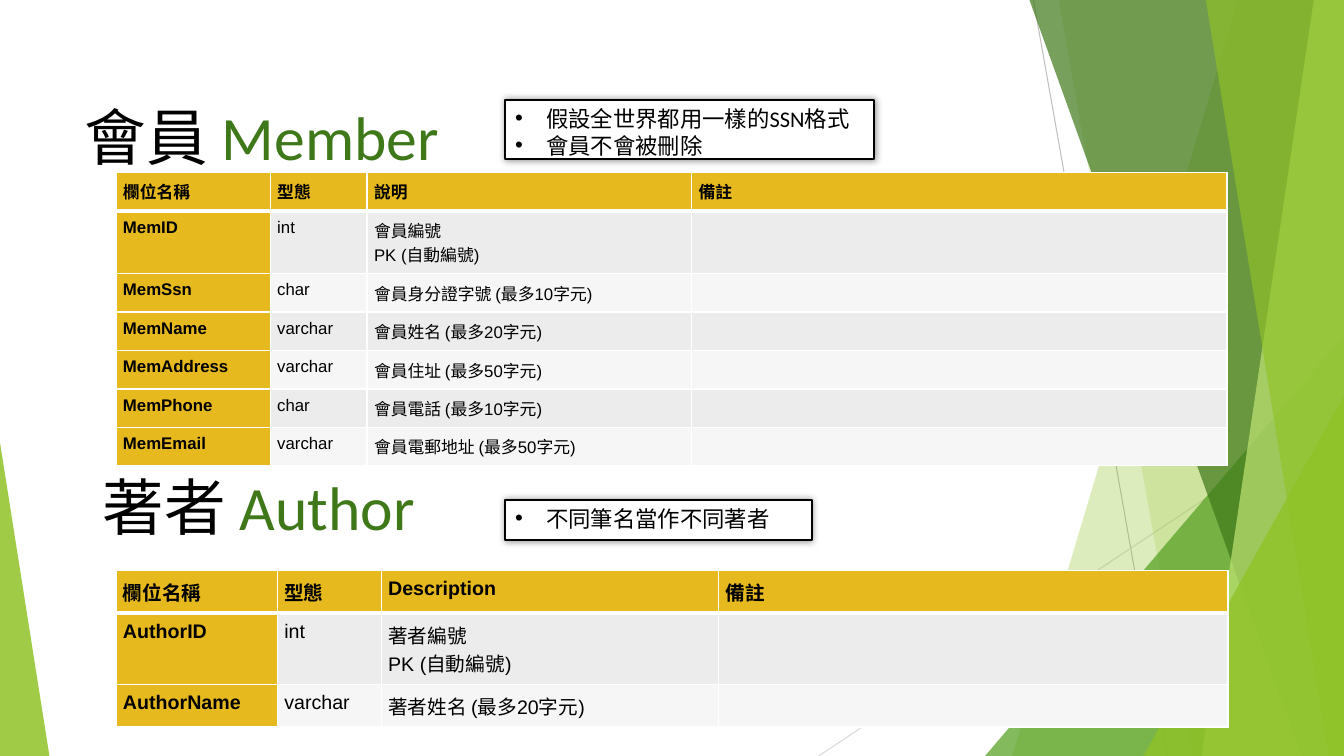
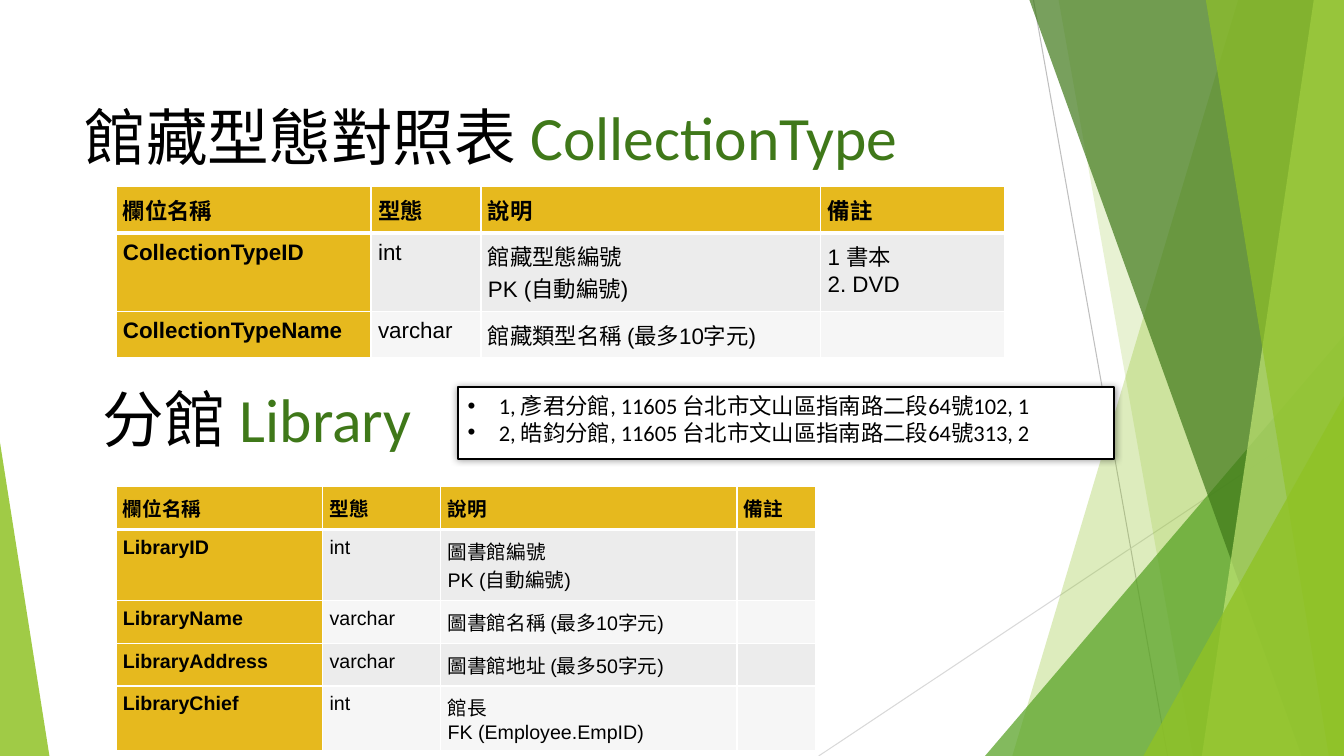
from lxml.etree import SubElement
from pptx import Presentation
from pptx.dml.color import RGBColor
from pptx.enum.shapes import MSO_CONNECTOR, MSO_SHAPE
from pptx.enum.text import MSO_ANCHOR, MSO_AUTO_SIZE, PP_ALIGN
from pptx.oxml.ns import qn
from pptx.util import Inches, Pt

COLORS = {
    "black": "000000", "white": "FFFFFF", "gold": "E6B91E",
    "band_dark": "ECECEC", "band_light": "F6F6F6",
    "lime": "90C226", "leaf": "54A021", "forest": "3F7819", "pale": "C0E474",
    "ray_dark": "BFBFBF", "ray_light": "D9D9D9",
}
HEADING_FONT = {"name": "Calibri", "size": Pt(44), "bold": False}
NOTE_FONT = {"name": "Calibri", "size": Pt(16)}
HEADING_FRAME = {"word_wrap": True, "auto_size": MSO_AUTO_SIZE.NONE,
                 "vertical_anchor": MSO_ANCHOR.MIDDLE}
NOTE_FRAME = {"word_wrap": True, "vertical_anchor": MSO_ANCHOR.TOP}
CELL_MARGINS = {f"margin_{side}": Inches(0.07)
                for side in ("left", "right", "top", "bottom")}
PLAIN_TABLE = {"first_row": True, "horz_banding": False}

WIDTH, HEIGHT = 13.33, 7.5
TITLE_BOX = (0.74, 0.67, 9.4, 1.44)
TABLE_LEFT = 1.15
RAYS = [
    ((10.25, 0), (11.58, HEIGHT), "ray_dark"),
    ((WIDTH, 4.03), (8.12, HEIGHT), "ray_light"),
]
FACETS = [
    ("band", 12.28, 10.04, "lime", 30),
    ("band", 10.5, 11.83, "lime", 20),
    ("corner", (9.77, 3.33, 3.56, 4.17), 1, "leaf", 72),
    ("band", 10.21, 12.91, "forest", 70),
    ("band", 13.03, 11.92, "pale", 70),
    ("band", 11.96, 13.18, "lime", 65),
    ("corner", (11.34, 3.93, 1.99, 3.57), 1, "lime", 80),
    ("corner", (0, 4.39, 0.49, 3.11), 0, "lime", 85),
]

HEADER = ["欄位名稱", "型態", "說明", "備註"]
SLIDES = [
    [
        {
            "heading": ("會員 ", "Member"),
            "note": ((5.01, 0.99, 3.66, 0.59),
                     ["假設全世界都用一樣的SSN格式", "會員不會被刪除"]),
            "top": 1.71, "size": 12, "columns": [1.53, 0.96, 3.22, 5.31],
            "rows": [
                HEADER,
                ["MemID", "int", "會員編號\nPK (自動編號)", ""],
                ["MemSsn", "char", "會員身分證字號 (最多10字元)", ""],
                ["MemName", "varchar", "會員姓名 (最多20字元)", ""],
                ["MemAddress", "varchar", "會員住址 (最多50字元)", ""],
                ["MemPhone", "char", "會員電話 (最多10字元)", ""],
                ["MemEmail", "varchar", "會員電郵地址 (最多50字元)", ""],
            ],
        },
        {
            "heading": ("著者 ", "Author"), "box": (0.92, 4.34, 11.5, 1.45),
            "note": ((5.01, 4.96, 3.04, 0.4), ["不同筆名當作不同著者"]),
            "top": 5.66, "size": 14, "columns": [1.6, 1.03, 3.35, 5.05],
            "rows": [
                ["欄位名稱", "型態", "Description", "備註"],
                ["AuthorID", "int", "著者編號\nPK (自動編號)", ""],
                ["AuthorName", "varchar", "著者姓名 (最多20字元)", ""],
            ],
        },
    ],
    [
        {
            "heading": ("館藏型態對照表 ", "CollectionType"),
            "top": 1.85, "size": 16, "columns": [2.53, 1.09, 3.37, 1.82],
            "rows": [
                HEADER,
                ["CollectionTypeID", "int", "館藏型態編號\nPK (自動編號)",
                 "1 書本\n2. DVD"],
                ["CollectionTypeName", "varchar", "館藏類型名稱 (最多10字元)", ""],
            ],
        },
        {
            "heading": ("分館 ", "Library"), "box": (0.92, 3.47, 11.5, 1.45),
            "note": ((4.54, 3.84, 6.51, 0.71),
                     ["1, 彥君分館, 11605 台北市文山區指南路二段64號102, 1",
                      "2, 皓鈞分館, 11605 台北市文山區指南路二段64號313, 2"]),
            "top": 4.83, "size": 14, "columns": [2.05, 1.17, 2.94, 0.78],
            "rows": [
                HEADER,
                ["LibraryID", "int", "圖書館編號\nPK (自動編號)", ""],
                ["LibraryName", "varchar", "圖書館名稱 (最多10字元)", ""],
                ["LibraryAddress", "varchar", "圖書館地址 (最多50字元)", ""],
                ["LibraryChief", "int", "館長\nFK (Employee.EmpID)", ""],
            ],
        },
    ],
]


def color(name):
    """Return the named palette colour."""
    return RGBColor.from_string(COLORS[name])


def apply(target, values):
    """Set every attribute in a dict of format values."""
    for key, value in values.items():
        setattr(target, key, value)


def add_node(parent, tag, **attributes):
    """Append an XML child with the given attributes."""
    return SubElement(parent, qn(tag), {k: str(v) for k, v in attributes.items()})


def add_run(paragraph, text, font, color_name):
    """Append a formatted run."""
    run = paragraph.add_run()
    run.text = text
    apply(run.font, font)
    run.font.color.rgb = color(color_name)


def paint(shape, color_name, opacity):
    """Fill a backdrop facet with a translucent colour."""
    shape.shadow.inherit = False
    shape.fill.solid()
    shape.fill.fore_color.rgb = color(color_name)
    shape.line.fill.background()
    tint = shape.element.xpath("./p:spPr/a:solidFill/a:srgbClr")[0]
    add_node(tint, "a:alpha", val=opacity * 1000)


def draw_band(shapes, top_x, bottom_x):
    """Draw a slanted band reaching to the right edge."""
    outline = [(WIDTH, 0), (WIDTH, HEIGHT), (bottom_x, HEIGHT)]
    builder = shapes.build_freeform(Inches(top_x), Inches(0))
    builder.add_line_segments([(Inches(x), Inches(y)) for x, y in outline])
    return builder.convert_to_shape()


def draw_corner(shapes, box, apex):
    """Draw a right triangle in its box."""
    corner = shapes.add_shape(MSO_SHAPE.ISOSCELES_TRIANGLE, *map(Inches, box))
    corner.adjustments[0] = apex
    return corner


def build_backdrop(slide):
    """Draw the rays and facets and place them on the slide's layout."""
    parts = []
    for start, end, color_name in RAYS:
        ray = slide.shapes.add_connector(
            MSO_CONNECTOR.STRAIGHT, *map(Inches, start + end))
        ray.line.color.rgb = color(color_name)
        ray.line.width = Pt(0.75)
        add_node(ray.element.spPr, "a:effectLst")
        parts.append(ray)
    draw = {"band": draw_band, "corner": draw_corner}
    for kind, first, second, color_name, opacity in FACETS:
        facet = draw[kind](slide.shapes, first, second)
        paint(facet, color_name, opacity)
        parts.append(facet)
    for number, part in enumerate(parts, 101):
        part.element.xpath(".//p:cNvPr")[0].set("id", str(number))
        slide.slide_layout.shapes.element.append(part.element)


def place_heading(shape, box, words):
    """Place a heading with a black Chinese and a green English part."""
    shape.left, shape.top, shape.width, shape.height = map(Inches, box)
    apply(shape.text_frame, HEADING_FRAME)
    paragraph = shape.text_frame.paragraphs[0]
    apply(paragraph, {"alignment": PP_ALIGN.LEFT, "line_spacing": 0.9})
    for word, color_name in zip(words, ("black", "forest")):
        add_run(paragraph, word, HEADING_FONT, color_name)


def add_note(slide, box, lines):
    """Add a framed bullet note with a soft shadow."""
    note = slide.shapes.add_shape(MSO_SHAPE.RECTANGLE, *map(Inches, box))
    note.fill.solid()
    note.fill.fore_color.rgb = color("white")
    note.line.color.rgb = color("black")
    note.line.width = Pt(1.5)
    note.shadow.inherit = False
    effects = note.element.xpath("./p:spPr/a:effectLst")[0]
    glow = add_node(effects, "a:outerShdw", blurRad=Pt(5), dist=0, dir=0)
    add_node(add_node(glow, "a:srgbClr", val=COLORS["black"]), "a:alpha", val=40000)
    apply(note.text_frame, NOTE_FRAME)
    note.text_frame.text = "\n".join(lines)
    for paragraph in note.text_frame.paragraphs:
        paragraph.alignment = PP_ALIGN.LEFT
        apply(paragraph.runs[0].font, NOTE_FONT)
        paragraph.runs[0].font.color.rgb = color("black")
    for bullet in note.element.xpath(".//a:pPr"):
        bullet.set("marL", str(Inches(0.31)))
        bullet.set("indent", str(-Inches(0.31)))
        add_node(add_node(bullet, "a:buClr"), "a:srgbClr", val=COLORS["black"])
        add_node(bullet, "a:buFont", typeface="Arial")
        add_node(bullet, "a:buChar", char="•")


def row_height(row, size):
    """Return the height in inches that the tallest cell of a row needs."""
    return 0.14 + max(
        sum(size * (0.016 if line.isascii() else 0.02) for line in text.split("\n"))
        for text in row)


def format_cell(cell, node, text, size, row, column):
    """Fill one table cell with text, borders and colour."""
    apply(cell, CELL_MARGINS)
    widths = {"L": 1, "R": 1, "T": 3 if row == 1 else 1, "B": 3 if row == 0 else 1}
    for side, width in widths.items():
        border = add_node(node.get_or_add_tcPr(), f"a:ln{side}", w=Pt(width))
        add_node(add_node(border, "a:solidFill"), "a:srgbClr", val=COLORS["white"])
    is_label = row == 0 or column == 0
    band = "band_dark" if row % 2 else "band_light"
    cell.fill.solid()
    cell.fill.fore_color.rgb = color("gold" if is_label else band)
    if not text:
        add_node(node.xpath(".//a:p")[0], "a:endParaRPr", sz=size * 100)
        return
    cell.text = text
    font = {"name": "Arial", "size": Pt(size), "bold": is_label}
    for paragraph in cell.text_frame.paragraphs:
        apply(paragraph.runs[0].font, font)
        paragraph.runs[0].font.color.rgb = color("black")


def add_schema(slide, top, size, columns, rows):
    """Add the table that lists the fields of an entity."""
    heights = [row_height(row, size) for row in rows]
    frame = slide.shapes.add_table(
        len(rows), len(columns), Inches(TABLE_LEFT), Inches(top),
        Inches(sum(columns)), Inches(sum(heights)))
    apply(frame.table, PLAIN_TABLE)
    for column, width in zip(frame.table.columns, columns):
        column.width = Inches(width)
    for row, height in zip(frame.table.rows, heights):
        row.height = Inches(height)
    nodes = frame.element.xpath(".//a:tc")
    for index, (cell, node) in enumerate(zip(frame.table.iter_cells(), nodes)):
        row, column = divmod(index, len(columns))
        format_cell(cell, node, rows[row][column], size, row, column)


def add_entity(slide, entity):
    """Add one entity: heading, field table and optional note."""
    if "box" in entity:
        box = entity["box"]
        heading = slide.shapes.add_textbox(*map(Inches, box))
    else:
        box, heading = TITLE_BOX, slide.shapes.title
    place_heading(heading, box, entity["heading"])
    add_schema(slide, entity["top"], entity["size"], entity["columns"], entity["rows"])
    if "note" in entity:
        add_note(slide, *entity["note"])


def main():
    """Build the deck and save it."""
    deck = Presentation()
    deck.slide_width, deck.slide_height = Inches(WIDTH), Inches(HEIGHT)
    title_only = deck.slide_layouts[5]
    for number, entities in enumerate(SLIDES):
        slide = deck.slides.add_slide(title_only)
        if number == 0:
            build_backdrop(slide)
        for entity in entities:
            add_entity(slide, entity)
    deck.save("out.pptx")


if __name__ == "__main__":
    main()
